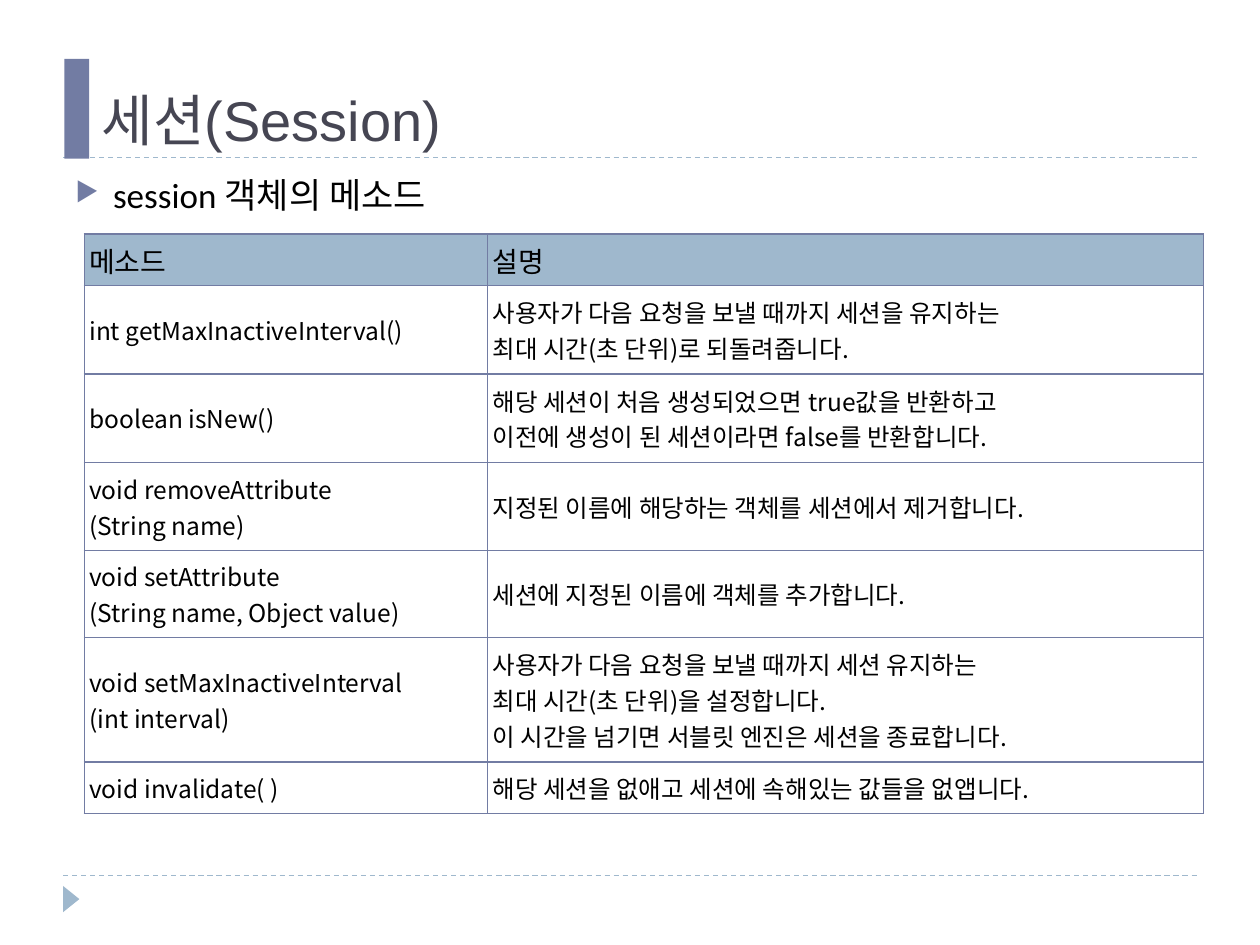
from typing import NamedTuple

from lxml.etree import SubElement
from pptx import Presentation
from pptx.dml.color import RGBColor
from pptx.enum.dml import MSO_LINE_DASH_STYLE as Dash
from pptx.enum.shapes import MSO_CONNECTOR as Connector, MSO_SHAPE as Shape
from pptx.enum.text import MSO_ANCHOR as Anchor, PP_ALIGN as Align
from pptx.oxml.ns import qn
from pptx.util import Cm, Pt

INDIGO, SKY, SLATE, BLACK = "727CA3", "9FB8CD", "464653", "000000"
KOREAN_FONT = "Noto Sans CJK KR"


class Method(NamedTuple):
    """One table row: the signature, its description and the row height in cm."""
    signature: str
    description: str
    height: float


METHODS = [
    Method("int getMaxInactiveInterval()",
           "사용자가 다음 요청을 보낼 때까지 세션을 유지하는\n최대 시간(초 단위)로 되돌려줍니다.", 1.78),
    Method("boolean isNew()",
           "해당 세션이 처음 생성되었으면 true값을 반환하고\n이전에 생성이 된 세션이라면 false를 반환합니다.", 1.78),
    Method("void removeAttribute\n(String name)",
           "지정된 이름에 해당하는 객체를 세션에서 제거합니다.", 1.78),
    Method("void setAttribute\n(String name, Object value)",
           "세션에 지정된 이름에 객체를 추가합니다.", 1.75),
    Method("void setMaxInactiveInterval\n(int interval)",
           "사용자가 다음 요청을 보낼 때까지 세션 유지하는\n최대 시간(초 단위)을 설정합니다.\n"
           "이 시간을 넘기면 서블릿 엔진은 세션을 종료합니다.", 2.51),
    Method("void invalidate( )",
           "해당 세션을 없애고 세션에 속해있는 값들을 없앱니다.", 1.04),
]


def color(value: str) -> RGBColor:
    """Turn a hex string into a colour."""
    return RGBColor.from_string(value)


def format_text(text_frame, size: float, font: str, text_color: str, align=Align.LEFT) -> None:
    """Format every run, with the Korean font for East Asian letters."""
    for paragraph in text_frame.paragraphs:
        paragraph.alignment = align
        for run in paragraph.runs:
            run.font.size = Pt(size)
            run.font.color.rgb = color(text_color)
            run.font.name = font
            SubElement(run.font._element, qn("a:ea"), typeface=KOREAN_FONT)


def add_text(slide, box: tuple, text: str, size: float, font: str, text_color: str, anchor):
    """Add a wrapping text box and return its text frame."""
    text_frame = slide.shapes.add_textbox(*map(Cm, box)).text_frame
    text_frame.word_wrap = True
    text_frame.vertical_anchor = anchor
    text_frame.text = text
    format_text(text_frame, size, font, text_color)
    return text_frame


def add_bullet(paragraph) -> None:
    """Give a paragraph a hanging arrow bullet."""
    paragraph.space_before = Pt(6)
    properties = paragraph._p.get_or_add_pPr()
    properties.set("marL", str(Cm(0.76)))
    properties.set("indent", str(-Cm(0.76)))
    bullet_color = SubElement(properties, qn("a:buClr"))
    SubElement(bullet_color, qn("a:srgbClr"), val=INDIGO)
    SubElement(properties, qn("a:buSzPct"), val="76000")
    SubElement(properties, qn("a:buChar"), char="▶")


def add_dashed_rule(slide, top: float) -> None:
    """Draw a dashed line across the slide."""
    rule = slide.shapes.add_connector(Connector.STRAIGHT, Cm(1.27), Cm(top), Cm(24.13), Cm(top))
    rule.line.color.rgb = color(SKY)
    rule.line.width = Pt(0.75)
    rule.line.dash_style = Dash.DASH
    SubElement(rule._element.spPr, qn("a:effectLst"))


def add_filled_shape(slide, kind, box: tuple, fill: str, rotation: float = 0) -> None:
    """Draw a plain shape without outline."""
    shape = slide.shapes.add_shape(kind, *map(Cm, box))
    shape.shadow.inherit = False
    shape.fill.solid()
    shape.fill.fore_color.rgb = color(fill)
    shape.line.fill.background()
    shape.rotation = rotation


def add_borders(cell) -> None:
    """Draw a thin line on all four sides of a cell."""
    properties = cell._tc.get_or_add_tcPr()
    for side in ("lnL", "lnR", "lnT", "lnB"):
        line = SubElement(properties, qn(f"a:{side}"), w=str(Pt(1)))
        line_fill = SubElement(line, qn("a:solidFill"))
        SubElement(line_fill, qn("a:srgbClr"), val=INDIGO)


def fill_cell(cell, text: str, is_header: bool) -> None:
    """Write and style one table cell."""
    cell.text_frame.text = text
    cell.vertical_anchor = Anchor.MIDDLE
    cell.margin_left = cell.margin_right = cell.margin_top = cell.margin_bottom = Cm(0.1)
    add_borders(cell)
    if is_header:
        cell.fill.solid()
        cell.fill.fore_color.rgb = color(SKY)
    else:
        cell.fill.background()
    format_text(cell.text_frame, 16 if is_header else 14, KOREAN_FONT, BLACK,
                Align.LEFT if is_header else Align.JUSTIFY)


def add_method_table(slide) -> None:
    """Add the table of session methods."""
    rows = [Method("메소드", "설명", 1.04), *METHODS]
    widths = (8.13, 14.43)
    height = sum(row.height for row in rows)
    table = slide.shapes.add_table(len(rows), len(widths), Cm(1.7), Cm(4.72),
                                   Cm(sum(widths)), Cm(height)).table
    table.first_row = table.horz_banding = False
    for column, width in zip(table.columns, widths):
        column.width = Cm(width)
    for index, row in enumerate(rows):
        table.rows[index].height = Cm(row.height)
        for column_index, text in enumerate((row.signature, row.description)):
            fill_cell(table.cell(index, column_index), text, index == 0)


def main() -> None:
    """Build the slide and save it."""
    presentation = Presentation()
    presentation.slide_width, presentation.slide_height = Cm(25.4), Cm(19.05)
    slide = presentation.slides.add_slide(presentation.slide_layouts[6])
    for top in (17.65, 3.18):
        add_dashed_rule(slide, top)
    add_filled_shape(slide, Shape.ISOSCELES_TRIANGLE, (1.17, 17.96, 0.53, 0.33), SKY, 90)
    add_filled_shape(slide, Shape.RECTANGLE, (1.3, 1.19, 0.5, 2.01), INDIGO)
    add_text(slide, (1.8, 1.19, 22.33, 2.01), "세션(Session)", 32, "Arial", SLATE, Anchor.BOTTOM)
    body = add_text(slide, (1.27, 3.38, 22.86, 13.72), "session 객체의 메소드", 20,
                    "Calibri", BLACK, Anchor.TOP)
    add_bullet(body.paragraphs[0])
    add_method_table(slide)
    presentation.save("out.pptx")


main()
